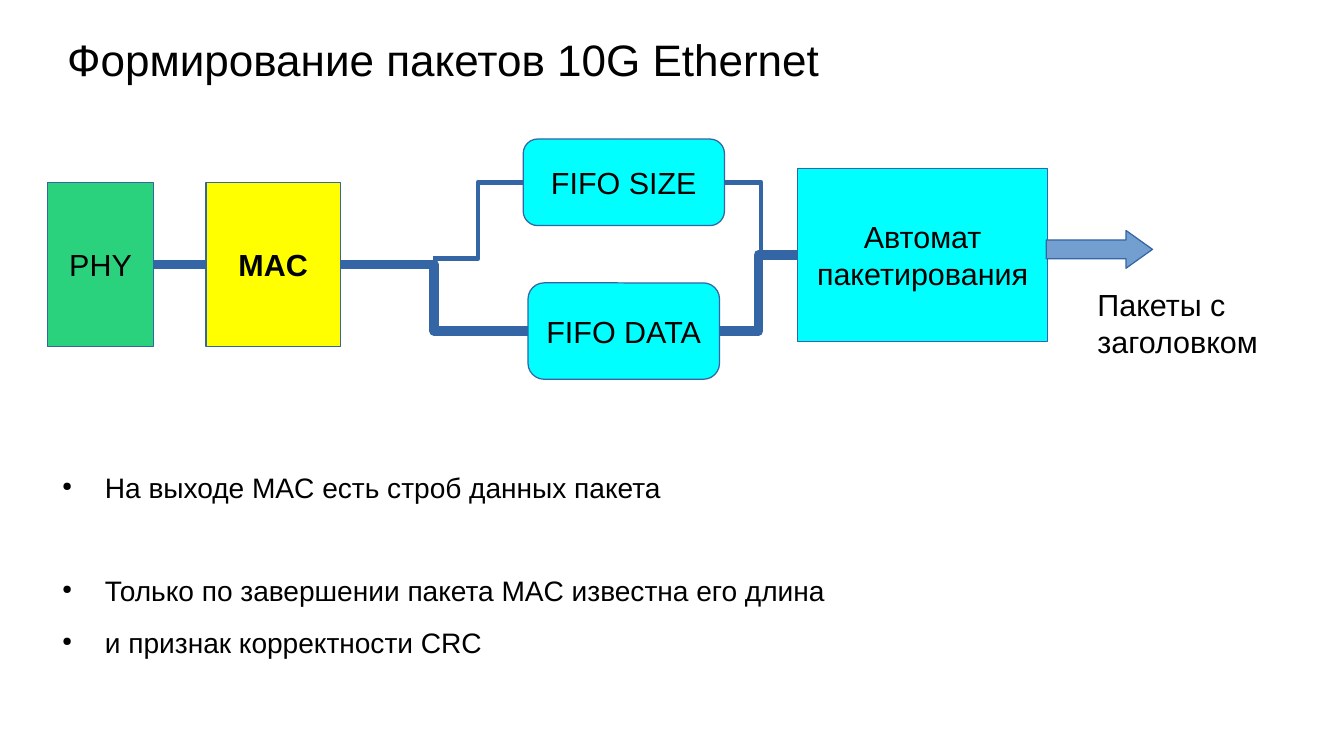
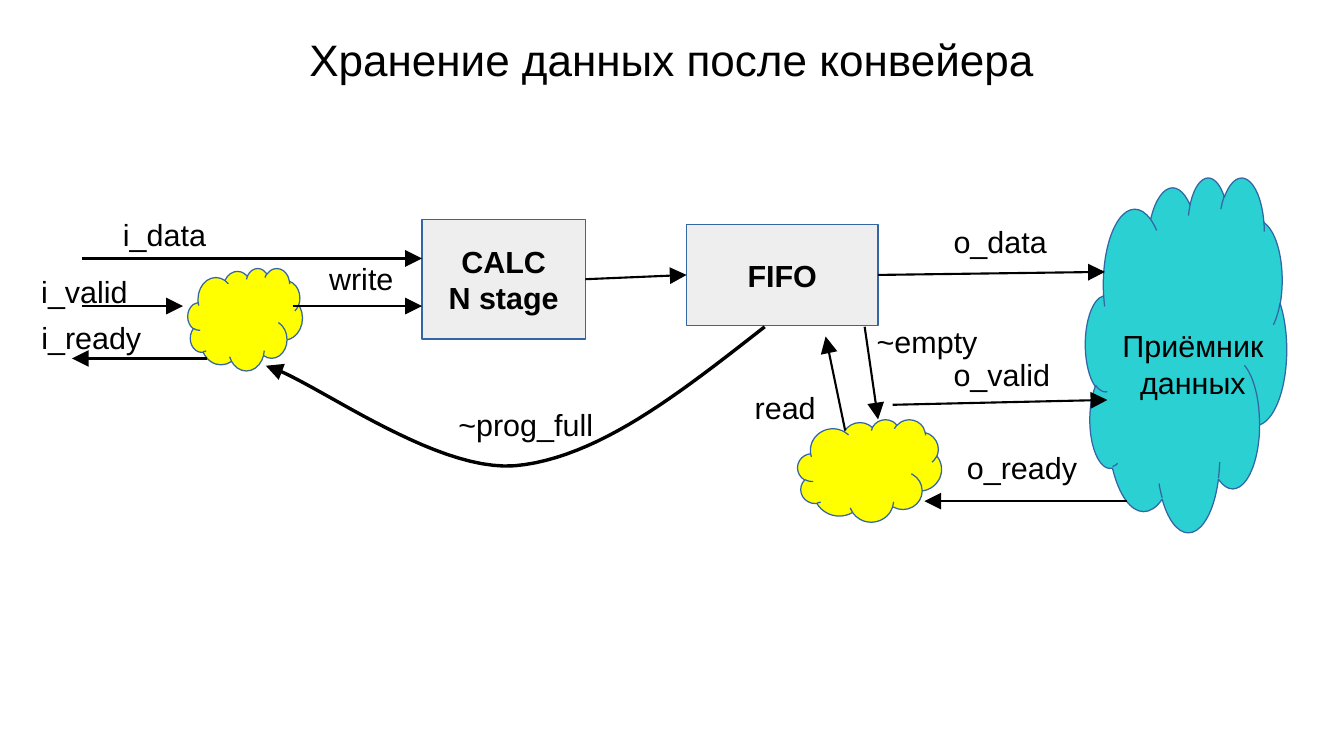
from dataclasses import dataclass
from typing import Any

from lxml.etree import SubElement
from pptx import Presentation
from pptx.dml.color import RGBColor
from pptx.enum.shapes import MSO_CONNECTOR as Link, MSO_SHAPE as Kind
from pptx.enum.text import MSO_ANCHOR as Anchor, PP_ALIGN as Align
from pptx.oxml.ns import qn
from pptx.util import Inches, Pt

CELL = 0.1
COLUMNS, ROWS = 110.2, 62
FONT = "Arial"
BLACK, BLUE, CYAN, YELLOW = "000000", "3465A4", "00FFFF", "FFFF00"
GREEN, GREY, TEAL, PALE_BLUE = "2BD27E", "EEEEEE", "2BD0D2", "729FCF"


def grid(cells):
    """Turn a number of grid cells into a length."""
    return Inches(cells * CELL)


def colour(value):
    """Turn a hex string into a colour."""
    return RGBColor.from_string(value)


@dataclass
class Region:
    """A part of a page whose contents are placed from its top left cell."""

    page: Any
    left: float
    top: float

    def point(self, column, row):
        """Give the slide position of a cell of this region."""
        return grid(self.left + column), grid(self.top + row)

    def area(self, box):
        """Give the slide position and size of a box of cells."""
        column, row, width, height = box
        return *self.point(column, row), grid(width), grid(height)


def write(frame, lines, size=18, align=Align.LEFT, bold=False):
    """Fill a text frame with one paragraph a line."""
    for index, line in enumerate(lines):
        para = frame.paragraphs[0] if index == 0 else frame.add_paragraph()
        para.text = line
        para.alignment = align
        para.font.name = FONT
        para.font.size = Pt(size)
        para.font.bold = bold
        para.font.color.rgb = colour(BLACK)


def add_label(region, box, text, size=18, align=Align.LEFT, margin=None):
    """Place wrapped text without fill and return its frame."""
    frame = region.page.shapes.add_textbox(*region.area(box)).text_frame
    frame.word_wrap = True
    if margin is not None:
        frame.margin_left = frame.margin_right = Inches(margin)
        frame.margin_top = frame.margin_bottom = Inches(margin)
    write(frame, text.split("\n"), size, align)
    return frame


def add_block(region, box, fill, text="", kind=Kind.RECTANGLE, bold=False):
    """Place a filled, outlined shape with centred text."""
    block = region.page.shapes.add_shape(kind, *region.area(box))
    block.shadow.inherit = False
    block.fill.solid()
    block.fill.fore_color.rgb = colour(fill)
    block.line.color.rgb = colour(BLUE)
    block.line.width = Pt(0.75)
    frame = block.text_frame
    frame.word_wrap = False
    frame.vertical_anchor = Anchor.MIDDLE
    if text:
        write(frame, text.split("\n"), align=Align.CENTER, bold=bold)
    return block


def add_arrowhead(shape):
    """End an outlined shape or connector with a large triangle."""
    outline = shape.element.spPr.find(qn("a:ln"))
    SubElement(outline, qn("a:tailEnd"), type="triangle", w="lg", len="lg")


def add_link(region, start, end, kind=Link.STRAIGHT, ink=BLACK, width=1.25, arrow=True):
    """Join two ends, each a cell or a pair of shape and side."""
    glued = [not isinstance(stop[0], (int, float)) for stop in (start, end)]
    places = [(0, 0) if fixed else region.point(*stop)
              for fixed, stop in zip(glued, (start, end))]
    link = region.page.shapes.add_connector(kind, *places[0], *places[1])
    if glued[0]:
        link.begin_connect(*start)
    if glued[1]:
        link.end_connect(*end)
    link.line.color.rgb = colour(ink)
    link.line.width = Pt(width)
    if arrow:
        add_arrowhead(link)
    SubElement(link.element.spPr, qn("a:effectLst"))


def add_curve(region, start, bends, steps=24):
    """Draw an open curve with an arrowhead through cubic bends."""
    points = []
    origin = start
    for bend in bends:
        knots = (origin, *bend)
        for step in range(1, steps + 1):
            t = step / steps
            weights = ((1 - t) ** 3, 3 * t * (1 - t) ** 2, 3 * t * t * (1 - t), t ** 3)
            cell = [sum(w * knot[axis] for w, knot in zip(weights, knots))
                    for axis in (0, 1)]
            points.append(region.point(*cell))
        origin = bend[-1]
    builder = region.page.shapes.build_freeform(*region.point(*start))
    builder.add_line_segments(points, close=False)
    curve = builder.convert_to_shape()
    curve.shadow.inherit = False
    curve.fill.background()
    curve.line.color.rgb = colour(BLACK)
    curve.line.width = Pt(2)
    add_arrowhead(curve)


def add_page(deck, title, align):
    """Add a blank page with its title."""
    page = deck.slides.add_slide(deck.slide_layouts[6])
    frame = add_label(Region(page, 5.5, 2.5), (0, 0, 99.2, 4.6), title, 26, align, 0)
    frame.vertical_anchor = Anchor.MIDDLE
    return page


def add_bullets(region, items):
    """List items, each with the space in points above it."""
    text = "\n".join(item for item, _ in items)
    frame = add_label(region, (0, 0, 99.2, 15), text, 16.6, margin=0)
    for para, (_, space) in zip(frame.paragraphs, items):
        para.space_before = Pt(space)
        props = para._p.get_or_add_pPr()
        props.set("marL", str(Inches(0.47)))
        props.set("indent", str(Inches(-0.35)))
        ink = SubElement(props, qn("a:buClr"))
        SubElement(ink, qn("a:srgbClr"), val=BLACK)
        SubElement(props, qn("a:buSzPct"), val="45000")
        SubElement(props, qn("a:buChar"), char="●")


def draw_packet_flow(region):
    """Draw the path from the receiver chip to the packets."""
    phy = add_block(region, (0, 3.6, 8.7, 13.4), GREEN, "PHY")
    mac = add_block(region, (13, 3.6, 11, 13.4), YELLOW, "MAC", bold=True)
    packer = add_block(region, (61.5, 2.4, 20.5, 14.2), CYAN, "Автомат\nпакетирования")
    data = add_block(region, (39.4, 11.8, 15.7, 7.9), CYAN, "FIFO DATA",
                     Kind.ROUNDED_RECTANGLE)
    size = add_block(region, (39, 0, 16.5, 7.1), CYAN, "FIFO SIZE",
                     Kind.ROUNDED_RECTANGLE)
    add_label(region, (85.1, 11.6, 18.1, 7), "Пакеты с заголовком")
    thick, thin = 5.67, 2.83
    for start, end, kind, width in (
        ((phy, 3), (mac, 1), Link.STRAIGHT, thick),
        ((mac, 3), (data, 1), Link.ELBOW, thick),
        ((31.6, 9.8), (size, 1), Link.ELBOW, thin),
        ((size, 3), (packer, 1), Link.ELBOW, thin),
        ((data, 3), (packer, 1), Link.ELBOW, thick),
    ):
        add_link(region, start, end, kind, BLUE, width, arrow=False)
    output = add_block(region, (81.9, 7.5, 8.7, 3.1), PALE_BLUE, kind=Kind.RIGHT_ARROW)
    output.adjustments[0] = 0.5
    output.adjustments[1] = 0.7


def draw_storage(region):
    """Draw the pipeline, its queue and the handshake signals."""
    calc = add_block(region, (32.2, 3.5, 13.4, 9.8), GREY, "CALC\nN stage", bold=True)
    fifo = add_block(region, (53.9, 3.9, 15.7, 8.3), GREY, "FIFO", bold=True)
    receiver = add_block(region, (86.6, 0, 16.5, 29.1), TEAL, "Приёмник\nданных",
                         Kind.CLOUD)
    receiver.text_frame.margin_left = Inches(0.33)
    receiver.text_frame.margin_top = Inches(0.34)
    for box in ((13, 7.5, 9.4, 8.4), (63, 19.9, 11.8, 8.4)):
        add_block(region, box, YELLOW, kind=Kind.CLOUD)
    for start, end in (
        ((calc, 3), (fifo, 1)),
        ((fifo, 3), (88.2, 7.8)),
        ((4.3, 6.7), (32.2, 6.7)),
        ((4.3, 10.6), (12.6, 10.6)),
        ((21.6, 10.6), (32.2, 10.6)),
        ((14.6, 14.9), (3.5, 14.9)),
        ((70.8, 18.7), (88.4, 18.3)),
        ((90, 26.6), (73.4, 26.6)),
        ((68.5, 12.3), (69.6, 19.9)),
        ((66.9, 20.8), (65.3, 13.1)),
    ):
        add_link(region, start, end)
    add_curve(region, (60.3, 12.3), (
        ((53.4, 17.7), (46.6, 23.1), (39.8, 23.7)),
        ((33, 24.2), (22.9, 16.4), (19.4, 15.5)),
    ))
    for text, column, row, width in (
        ("i_data", 6.7, 2.7, 10.1),
        ("i_valid", 0, 7.4, 11.4),
        ("i_ready", 0, 11.2, 12.1),
        ("write", 23.6, 6.3, 7.9),
        ("~prog_full", 34.2, 18.3, 18.9),
        ("read", 58.5, 16.9, 8.4),
        ("~empty", 68.5, 11.5, 12.2),
        ("o_data", 74.8, 3.3, 10.2),
        ("o_valid", 74.8, 14.2, 12.2),
        ("o_ready", 75.9, 21.8, 14.2),
    ):
        add_label(region, (column, row, width, 3.8), text)


def main():
    """Build and save the deck."""
    deck = Presentation()
    deck.slide_width, deck.slide_height = grid(COLUMNS), grid(ROWS)

    page = add_page(deck, "Формирование пакетов 10G Ethernet", Align.LEFT)
    draw_packet_flow(Region(page, 3.9, 11.4))
    add_bullets(Region(page, 3.9, 38.6), (
        ("На выходе MAC есть строб данных пакета", 10.6),
        ("Только по завершении пакета MAC известна его длина", 41),
        ("и признак корректности CRC", 10.6),
    ))

    page = add_page(deck, "Хранение данных после конвейера", Align.CENTER)
    draw_storage(Region(page, 2.4, 14.5))
    deck.save("out.pptx")


if __name__ == "__main__":
    main()
